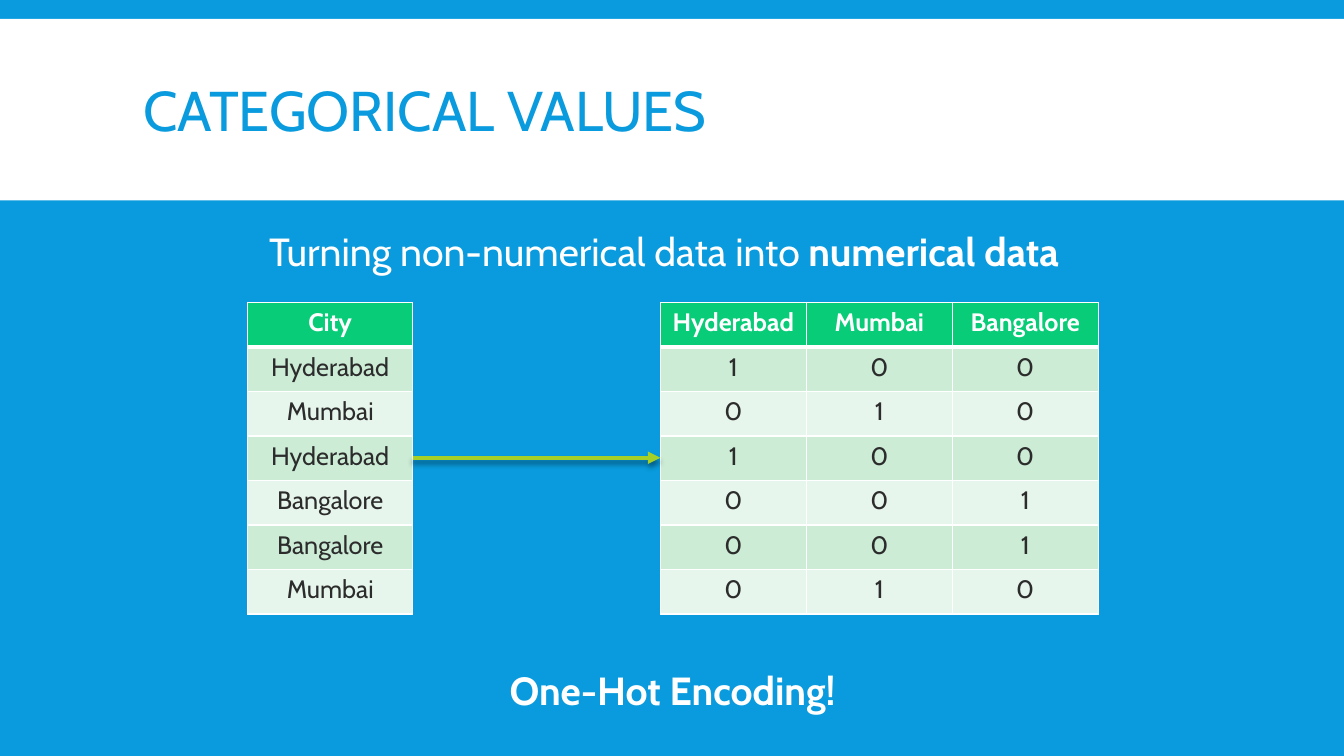
from dataclasses import dataclass

from lxml.etree import SubElement
from pptx import Presentation
from pptx.dml.color import RGBColor
from pptx.enum.shapes import MSO_CONNECTOR, MSO_SHAPE
from pptx.enum.text import MSO_ANCHOR, MSO_AUTO_SIZE, PP_ALIGN
from pptx.oxml import parse_xml
from pptx.oxml.ns import nsdecls, qn
from pptx.slide import Slide
from pptx.table import _Cell
from pptx.text.text import _Paragraph
from pptx.util import Emu, Pt

FONT = "Cabin"
BLUE = RGBColor(0x09, 0x9B, 0xDD)
WHITE = RGBColor(0xFF, 0xFF, 0xFF)
HEADER_GREEN = RGBColor(0x08, 0xCC, 0x78)
BANDS = (RGBColor(0xCC, 0xEC, 0xD6), RGBColor(0xE7, 0xF6, 0xEC))
DARK = RGBColor(0x2C, 0x2C, 0x2C)
LIME = RGBColor(0xA5, 0xD0, 0x28)

CITIES = ("Hyderabad", "Mumbai", "Bangalore")
RECORDS = ("Hyderabad", "Mumbai", "Hyderabad", "Bangalore", "Bangalore", "Mumbai")


def px(length: int) -> Emu:
    return Emu(length * 9525)


@dataclass(frozen=True)
class Box:
    left: int
    top: int
    width: int
    height: int

    def emu(self) -> tuple[Emu, Emu, Emu, Emu]:
        return px(self.left), px(self.top), px(self.width), px(self.height)


@dataclass(frozen=True)
class Run:
    text: str
    size: int
    color: RGBColor = WHITE
    bold: bool = False


@dataclass(frozen=True)
class TextBlock:
    box: Box
    runs: tuple[Run, ...]
    alignment: PP_ALIGN = PP_ALIGN.LEFT
    anchor: MSO_ANCHOR = MSO_ANCHOR.TOP
    auto_size: MSO_AUTO_SIZE = MSO_AUTO_SIZE.NONE
    line_spacing: float = 1.0
    space_before: int = 0
    space_after: int = 0


@dataclass(frozen=True)
class CityTable:
    box: Box
    rows: tuple[tuple[str, ...], ...]


TEXT_BLOCKS = (
    TextBlock(Box(127, 30, 1027, 158), (Run("CATEGORICAL VALUES", 40, BLUE),),
              anchor=MSO_ANCHOR.MIDDLE, line_spacing=0.85),
    TextBlock(Box(247, 217, 786, 60),
              (Run("Turning non-numerical data into ", 28),
               Run("numerical data", 28, bold=True)),
              line_spacing=0.9, space_before=12, space_after=2),
    TextBlock(Box(468, 630, 345, 55), (Run("One-Hot Encoding!", 28, bold=True),),
              alignment=PP_ALIGN.CENTER, auto_size=MSO_AUTO_SIZE.SHAPE_TO_FIT_TEXT),
)

CITY_COLUMN = CityTable(Box(236, 288, 157, 297),
                        (("City",), *((city,) for city in RECORDS)))
ONE_HOT = CityTable(
    Box(629, 288, 417, 297),
    (CITIES, *(tuple(str(int(city == record)) for city in CITIES) for record in RECORDS)))


def add_run(paragraph: _Paragraph, content: Run) -> None:
    run = paragraph.add_run()
    run.text = content.text
    run.font.name = FONT
    run.font.size = Pt(content.size)
    run.font.bold = content.bold
    run.font.color.rgb = content.color


def add_title_band(slide: Slide) -> None:
    band = slide.shapes.add_shape(MSO_SHAPE.RECTANGLE, *Box(0, 18, 1280, 173).emu())
    band.shadow.inherit = False
    band.fill.solid()
    band.fill.fore_color.rgb = WHITE
    band.line.fill.background()


def add_text(slide: Slide, block: TextBlock) -> None:
    frame = slide.shapes.add_textbox(*block.box.emu()).text_frame
    frame.word_wrap = True
    frame.auto_size = block.auto_size
    frame.vertical_anchor = block.anchor
    paragraph = frame.paragraphs[0]
    paragraph.alignment = block.alignment
    paragraph.line_spacing = block.line_spacing
    paragraph.space_before = Pt(block.space_before)
    paragraph.space_after = Pt(block.space_after)
    for run in block.runs:
        add_run(paragraph, run)


def add_borders(cell: _Cell, top: int, bottom: int) -> None:
    """Draw white borders; call before filling, since the schema puts lines first."""
    properties = cell._tc.get_or_add_tcPr()
    for side, width in (("L", 1), ("R", 1), ("T", top), ("B", bottom)):
        line = SubElement(properties, qn(f"a:ln{side}"), w=str(Pt(width)))
        fill = SubElement(line, qn("a:solidFill"))
        SubElement(fill, qn("a:srgbClr"), val=str(WHITE))


def add_city_table(slide: Slide, city_table: CityTable) -> None:
    rows = city_table.rows
    table = slide.shapes.add_table(len(rows), len(rows[0]), *city_table.box.emu()).table
    for row, values in enumerate(rows):
        is_header = row == 0
        for column, value in enumerate(values):
            cell = table.cell(row, column)
            add_borders(cell, top=3 if row == 1 else 1, bottom=3 if is_header else 1)
            cell.fill.solid()
            cell.fill.fore_color.rgb = HEADER_GREEN if is_header else BANDS[(row - 1) % 2]
            paragraph = cell.text_frame.paragraphs[0]
            paragraph.alignment = PP_ALIGN.CENTER
            add_run(paragraph, Run(value, 18, WHITE if is_header else DARK, is_header))


def add_encoding_arrow(slide: Slide) -> None:
    source = CITY_COLUMN.box
    y = px(436)
    arrow = slide.shapes.add_connector(
        MSO_CONNECTOR.STRAIGHT, px(source.left + source.width), y, px(ONE_HOT.box.left), y)
    arrow.line.color.rgb = LIME
    arrow.line.width = Pt(3)
    SubElement(arrow.line._get_or_add_ln(), qn("a:tailEnd"), type="triangle")
    arrow._element.spPr.append(parse_xml(
        f'<a:effectLst {nsdecls("a")}>'
        f'<a:outerShdw blurRad="{Pt(4)}" dist="{Pt(3)}" dir="5400000" rotWithShape="0">'
        '<a:srgbClr val="000000"><a:alpha val="40000"/></a:srgbClr>'
        '</a:outerShdw></a:effectLst>'))


def main() -> None:
    presentation = Presentation()
    presentation.slide_width = px(1280)
    presentation.slide_height = px(720)
    slide = presentation.slides.add_slide(presentation.slide_layouts[6])
    slide.background.fill.solid()
    slide.background.fill.fore_color.rgb = BLUE

    add_title_band(slide)
    for block in TEXT_BLOCKS:
        add_text(slide, block)
    for city_table in (CITY_COLUMN, ONE_HOT):
        add_city_table(slide, city_table)
    add_encoding_arrow(slide)
    presentation.save("out.pptx")


if __name__ == "__main__":
    main()
